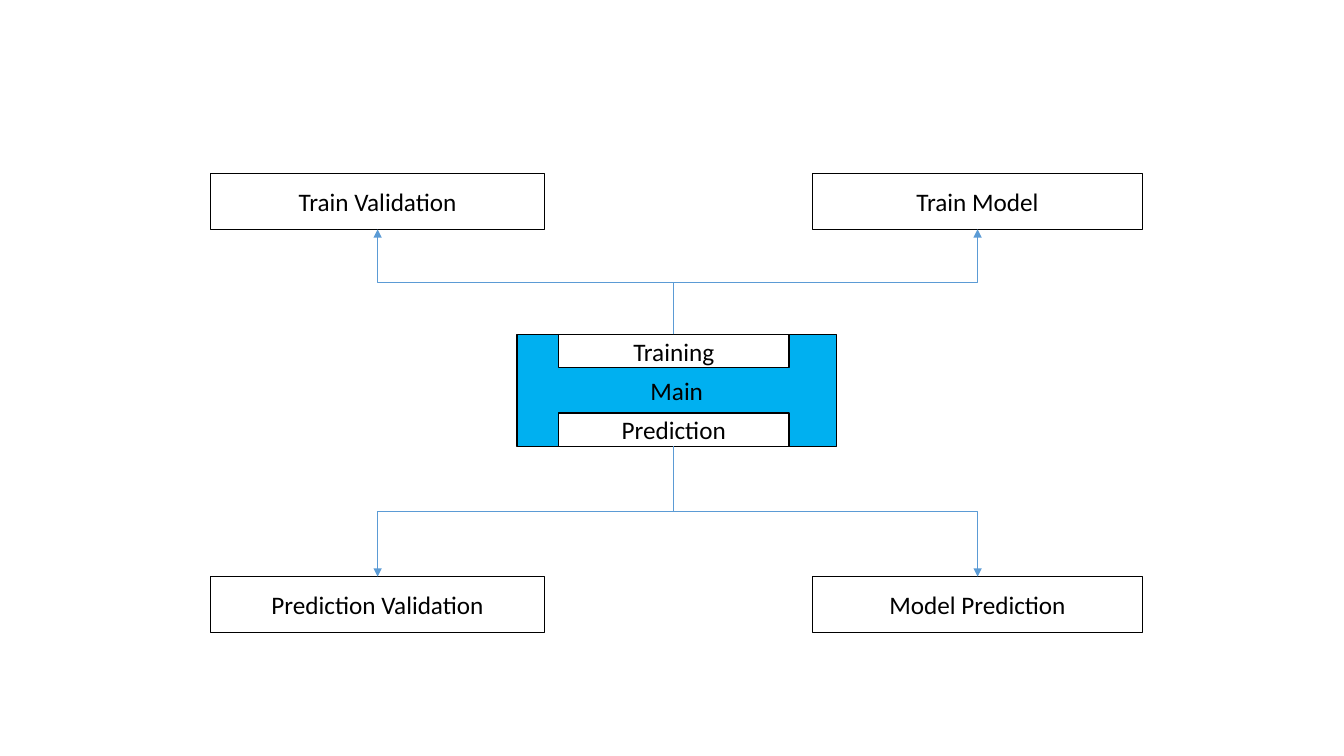
from lxml.etree import SubElement
from pptx import Presentation
from pptx.dml.color import RGBColor
from pptx.enum.shapes import MSO_CONNECTOR, MSO_SHAPE
from pptx.enum.text import MSO_ANCHOR, PP_ALIGN
from pptx.oxml.ns import qn
from pptx.util import Cm, Pt

COLORS = {"ink": "000000", "paper": "FFFFFF", "main": "00B0F0", "arrow": "5B9BD5"}
FONT = "Calibri"
TOP, BOTTOM = 0, 2

MAIN = (13.03, 8.43, 8.05, 2.82)
STEP = (14.07, 5.82, 0.84)
COLS = [(5.31, 8.41), (20.47, 8.33)]
HIGH = 1.41
STAGES = [
    ("Training", 4.37, ["Train Validation", "Train Model"], TOP, BOTTOM),
    ("Prediction", 14.53, ["Prediction Validation", "Model Prediction"], BOTTOM, TOP),
]


def color(name):
    return RGBColor.from_string(COLORS[name])


def add_box(slide, text, left, top, width, height, fill="paper"):
    box = slide.shapes.add_shape(
        MSO_SHAPE.RECTANGLE, Cm(left), Cm(top), Cm(width), Cm(height))
    box.shadow.inherit = False
    box.fill.solid()
    box.fill.fore_color.rgb = color(fill)
    box.line.color.rgb = color("ink")
    box.line.width = Pt(1)
    frame = box.text_frame
    frame.text = text
    frame.vertical_anchor = MSO_ANCHOR.MIDDLE
    para = frame.paragraphs[0]
    para.alignment = PP_ALIGN.CENTER
    font = para.runs[0].font
    font.name, font.size = FONT, Pt(18)
    font.color.rgb = color("ink")
    return box


def add_arrow(slide, start, out, goal, into):
    line = slide.shapes.add_connector(MSO_CONNECTOR.ELBOW, 0, 0, 0, 0)
    line.begin_connect(start, out)
    line.end_connect(goal, into)
    x, y = line.begin_x, line.begin_y
    dx, dy = line.end_x - x, line.end_y - y

    line.width, line.height = abs(dy), abs(dx)
    line.left = x + (dx - abs(dy)) // 2
    line.top = y + (dy - abs(dx)) // 2
    props = line._element.spPr
    frame = props.find(qn("a:xfrm"))
    turn = 90 if (dx < 0) == (dy > 0) else 270
    frame.set("rot", str(turn * 60000))
    frame.set("flipH", str(int(dx > 0)))
    frame.set("flipV", str(int(dy < 0)))

    line.line.color.rgb = color("arrow")
    line.line.width = Pt(0.5)
    SubElement(props.find(qn("a:ln")), qn("a:tailEnd"), type="triangle")
    SubElement(props, qn("a:effectLst"))


def main():
    deck = Presentation()
    deck.slide_width, deck.slide_height = Cm(33.87), Cm(19.05)
    slide = deck.slides.add_slide(deck.slide_layouts[6])
    add_box(slide, "Main", *MAIN, fill="main")
    left, width, height = STEP
    for name, row, goals, out, into in STAGES:
        top = MAIN[1] if out == TOP else MAIN[1] + MAIN[3] - height
        step = add_box(slide, name, left, top, width, height)
        for text, (col, wide) in zip(goals, COLS):
            goal = add_box(slide, text, col, row, wide, HIGH)
            add_arrow(slide, step, out, goal, into)
    deck.save("out.pptx")


if __name__ == "__main__":
    main()
